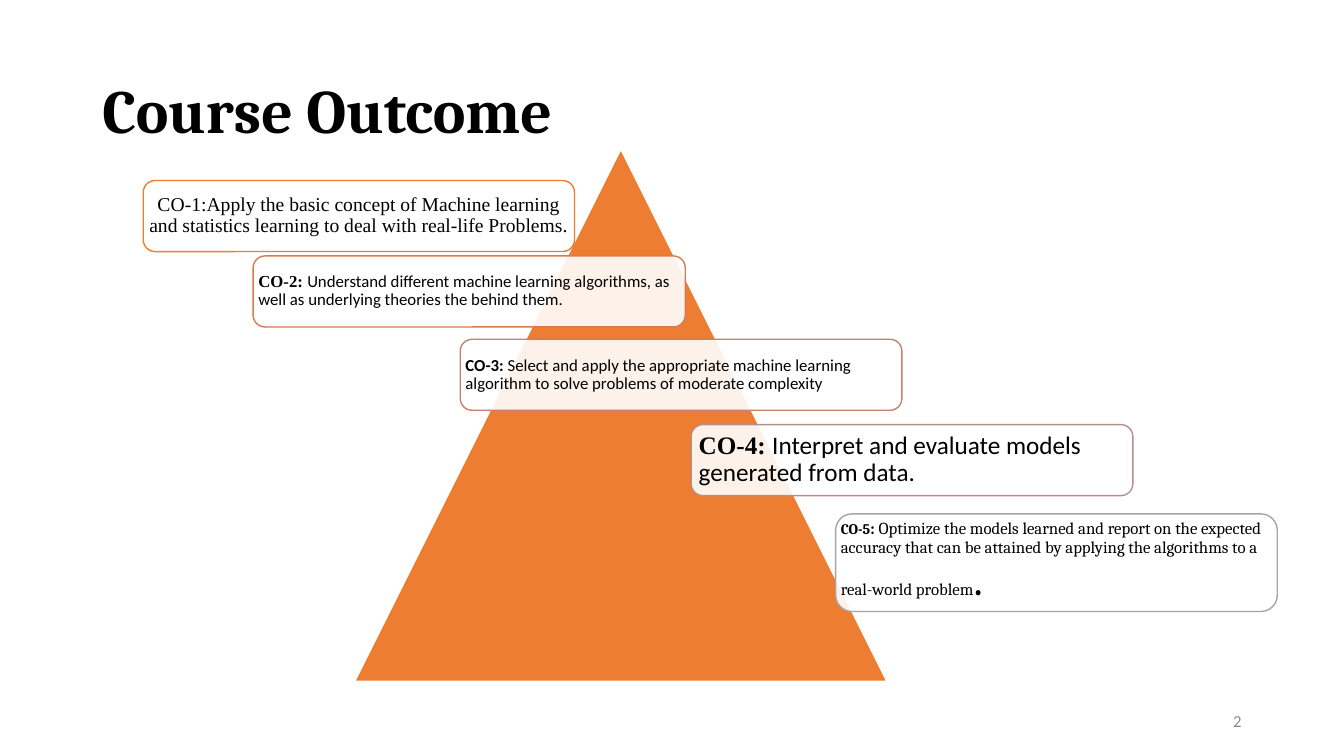
"""Build the Course Outcome slide: five outcome cards stepping across a pyramid."""
from lxml import etree
from pptx import Presentation
from pptx.dml.color import RGBColor
from pptx.enum.shapes import MSO_SHAPE
from pptx.enum.text import MSO_ANCHOR, PP_ALIGN
from pptx.oxml.ns import qn
from pptx.util import Cm, Pt

TRIANGLE = MSO_SHAPE.ISOSCELES_TRIANGLE
ROUNDED = MSO_SHAPE.ROUNDED_RECTANGLE
MIDDLE = MSO_ANCHOR.MIDDLE
LEFT, CENTER, RIGHT = PP_ALIGN.LEFT, PP_ALIGN.CENTER, PP_ALIGN.RIGHT
SERIF, SANS, TIMES = "Cambria", "Calibri", "Times New Roman"
CARD_OPACITY = 90
CORNER_INSET = 0.0488

COLORS = {
    "white": "FFFFFF",
    "black": "000000",
    "number": "8C8C8C",
    "pyramid": "ED7D31",
    "co1": "ED7D31",
    "co2": "D87A51",
    "co3": "C48170",
    "co4": "B4908B",
    "co5": "A5A5A5",
}


def write_text(shape, runs, color="black", align=LEFT, spacing=0.9, margin_x=0.25, margin_y=0.13):
    """Fill a shape with one paragraph of (text, font, size, bold) runs."""
    frame = shape.text_frame
    frame.word_wrap = True
    frame.vertical_anchor = MIDDLE
    frame.margin_left = frame.margin_right = Cm(margin_x)
    frame.margin_top = frame.margin_bottom = Cm(margin_y)
    paragraph = frame.paragraphs[0]
    paragraph.alignment = align
    paragraph.line_spacing = spacing
    for text, font, size, bold in runs:
        run = paragraph.add_run()
        run.text = text
        run.font.name = font
        run.font.size = Pt(size)
        run.font.bold = bold
        run.font.color.rgb = RGBColor.from_string(COLORS[color])


def add_outlined(slide, kind, box, fill, line):
    """Add a preset shape with a solid fill and a 1 pt outline."""
    shape = slide.shapes.add_shape(kind, *[Cm(length) for length in box])
    shape.shadow.inherit = False
    shape.fill.solid()
    shape.fill.fore_color.rgb = RGBColor.from_string(COLORS[fill])
    shape.line.color.rgb = RGBColor.from_string(COLORS[line])
    shape.line.width = Pt(1)
    return shape


presentation = Presentation()
presentation.slide_width = Cm(33.87)
presentation.slide_height = Cm(19.05)
slide = presentation.slides.add_slide(presentation.slide_layouts[6])

title = slide.shapes.add_textbox(Cm(2.33), Cm(1.01), Cm(29.21), Cm(3.68))
write_text(title, [("Course Outcome", SERIF, 44, True)])

number = slide.shapes.add_textbox(Cm(23.92), Cm(17.66), Cm(7.62), Cm(1.01))
write_text(number, [("2", SANS, 12, False)], color="number", align=RIGHT, spacing=1.0)

add_outlined(slide, TRIANGLE, (8.94, 3.76, 13.41, 13.41), "pyramid", "white")

cards = [
    ("co1", (3.61, 4.55, 10.87, 1.79), 0.15, CENTER, [
        ("CO-1:Apply the basic concept of Machine learning and statistics learning "
         "to deal with real-life Problems.", TIMES, 14, False),
    ]),
    ("co2", (6.38, 6.45, 10.89, 1.79), 0.13, LEFT, [
        ("CO-2: ", TIMES, 12, True),
        ("Understand different machine learning algorithms, as well as underlying "
         "theories the behind them.", SANS, 12, False),
    ]),
    ("co3", (11.6, 8.55, 11.13, 1.79), 0.13, LEFT, [
        ("CO-3: ", SANS, 12, True),
        ("Select and apply the appropriate machine learning algorithm to solve "
         "problems of moderate complexity", SANS, 12, False),
    ]),
    ("co4", (17.42, 10.7, 11.13, 1.79), 0.19, LEFT, [
        ("CO-4: ", TIMES, 18, True),
        ("Interpret and evaluate models generated from data.", SANS, 18, False),
    ]),
    ("co5", (21.06, 12.95, 11.13, 2.46), 0.13, LEFT, [
        ("CO-5", SERIF, 10.5, True),
        (": ", SERIF, 12, True),
        ("Optimize the models learned and report on the expected accuracy that can be "
         "attained by applying the algorithms to a real-world problem", SERIF, 12, False),
        (".", SERIF, 32, False),
    ]),
]

for line, box, inset, align, runs in cards:
    card = add_outlined(slide, ROUNDED, box, "white", line)
    fill_color = card.fill._xPr.find(qn("a:solidFill"))[0]
    etree.SubElement(fill_color, qn("a:alpha"), val=str(CARD_OPACITY * 1000))
    margin = max(0, inset - CORNER_INSET * box[3])
    write_text(card, runs, align=align, margin_x=margin, margin_y=margin)

presentation.save("out.pptx")
